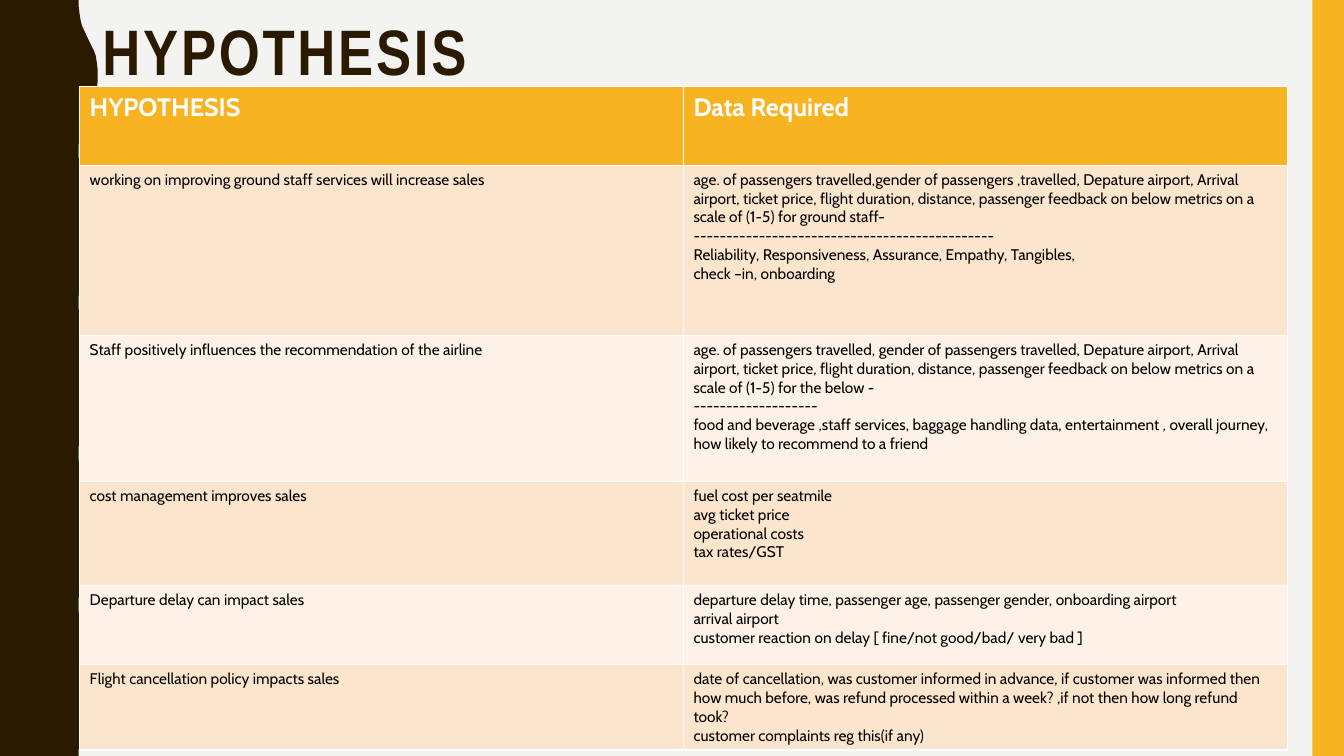
from pptx import Presentation
from pptx.dml.color import RGBColor as Color
from pptx.enum.shapes import MSO_SHAPE as Shape
from pptx.enum.text import MSO_ANCHOR as Anchor, PP_ALIGN as Align
from pptx.util import Pt


class Theme:
    paper = Color.from_string("F3F3F2")
    brown = Color.from_string("2A1A00")
    gold = Color.from_string("F8B323")
    white = Color.from_string("FFFFFF")
    black = Color.from_string("000000")
    bands = (Color.from_string("FCE5CD"), Color.from_string("FEF2E8"))
    title_font = "Arial Narrow"
    body_font = "Cabin"
    title_size = Pt(45.9)
    header_size = Pt(18)
    body_size = Pt(11)


def add_span(para, text, font, size, color, bold):
    span = para.add_run()
    span.text = text
    span.font.name = font
    span.font.size = size
    span.font.color.rgb = color
    span.font.bold = bold
    return span


def paint(shape, color):
    shape.shadow.inherit = False
    shape.fill.solid()
    shape.fill.fore_color.rgb = color
    shape.line.fill.background()


deck = Presentation()
deck.slide_width, deck.slide_height = Pt(960), Pt(540)
page = deck.slides.add_slide(deck.slide_layouts[5])
page.background.fill.solid()
page.background.fill.fore_color.rgb = Theme.paper

swell = [(56.2, 0), (56.3, 5), (56.9, 10), (57.6, 14.4), (58.5, 18),
         (59.8, 21), (61.2, 24), (62.6, 27), (64, 30), (65.5, 33),
         (67, 36), (68.4, 39.6), (69.1, 44), (69.7, 49), (69.8, 54)]
wave = swell + [(x, 108 - y) for x, y in reversed(swell[:-1])]
edge = [(Pt(x), Pt(y + 108 * turn)) for turn in range(5) for x, y in wave]
builder = page.shapes.build_freeform(0, 0)
builder.add_line_segments(edge + [(0, Pt(540))], close=True)
paint(builder.convert_to_shape(), Theme.brown)

stripe = page.shapes.add_shape(Shape.RECTANGLE, Pt(937.5), 0, Pt(22.5), Pt(540))
paint(stripe, Theme.gold)

title = page.shapes.title
title.left, title.top, title.width, title.height = Pt(66), Pt(10.8), Pt(828), Pt(50.4)
title.text_frame.vertical_anchor = Anchor.TOP
title.text_frame.word_wrap = True
heading = title.text_frame.paragraphs[0]
heading.alignment = Align.LEFT
heading.line_spacing = 0.9
span = add_span(heading, "HYPOTHESIS", Theme.title_font, Theme.title_size, Theme.brown, True)
span.font._element.set("spc", "200")

rows = [
    (56.2, "HYPOTHESIS", ["Data Required"]),
    (121.5, "working on improving ground staff services will increase sales", [
        "age. of passengers travelled,gender of passengers ,travelled, Depature airport, "
        "Arrival airport, ticket price, flight duration, distance, passenger feedback on "
        "below metrics on a scale of (1-5) for ground staff-",
        "----------------------------------------------",
        "Reliability, Responsiveness, Assurance, Empathy, Tangibles,",
        "check –in, onboarding"]),
    (104.3, "Staff positively influences the recommendation of the airline", [
        "age. of passengers travelled, gender of passengers travelled, Depature airport, "
        "Arrival airport, ticket price, flight duration, distance, passenger feedback on "
        "below metrics on a scale of (1-5) for the below -",
        "-------------------",
        "food and beverage ,staff services, baggage handling data, entertainment , "
        "overall journey, how likely to recommend to a friend"]),
    (74.3, "cost management improves sales", [
        "fuel cost per seatmile",
        "avg ticket price",
        "operational costs",
        "tax rates/GST"]),
    (56.6, "Departure delay can impact sales", [
        "departure delay time, passenger age, passenger gender, onboarding airport",
        "arrival airport",
        "customer reaction on delay [ fine/not good/bad/ very bad ]"]),
    (61, "Flight cancellation policy impacts sales", [
        "date of cancellation, was customer informed in advance, if customer was informed "
        "then how much before, was refund processed within a week? ,if not then how long "
        "refund took?",
        "customer complaints reg this(if any)"]),
]
total = sum(height for height, _, _ in rows)
table = page.shapes.add_table(len(rows), 2, Pt(56.9), Pt(61.9), Pt(862.6), Pt(total)).table
for column in table.columns:
    column.width = Pt(431.3)

for index, (height, hypothesis, data) in enumerate(rows):
    table.rows[index].height = Pt(height)
    header = index == 0
    size = Theme.header_size if header else Theme.body_size
    color = Theme.white if header else Theme.black
    for cell, lines in zip(table.rows[index].cells, ([hypothesis], data)):
        cell.fill.solid()
        cell.fill.fore_color.rgb = Theme.gold if header else Theme.bands[(index - 1) % 2]
        frame = cell.text_frame
        for number, line in enumerate(lines):
            para = frame.add_paragraph() if number else frame.paragraphs[0]
            add_span(para, line, Theme.body_font, size, color, header)

deck.save("out.pptx")
